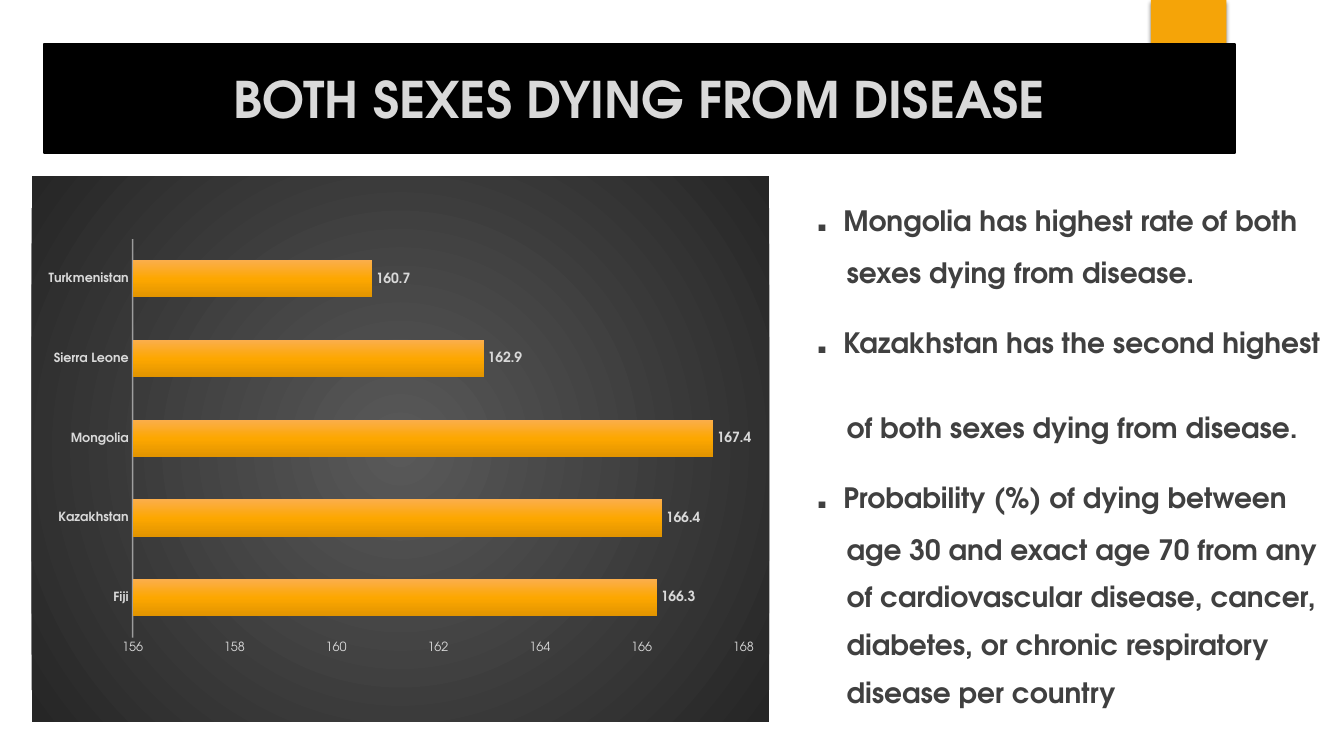
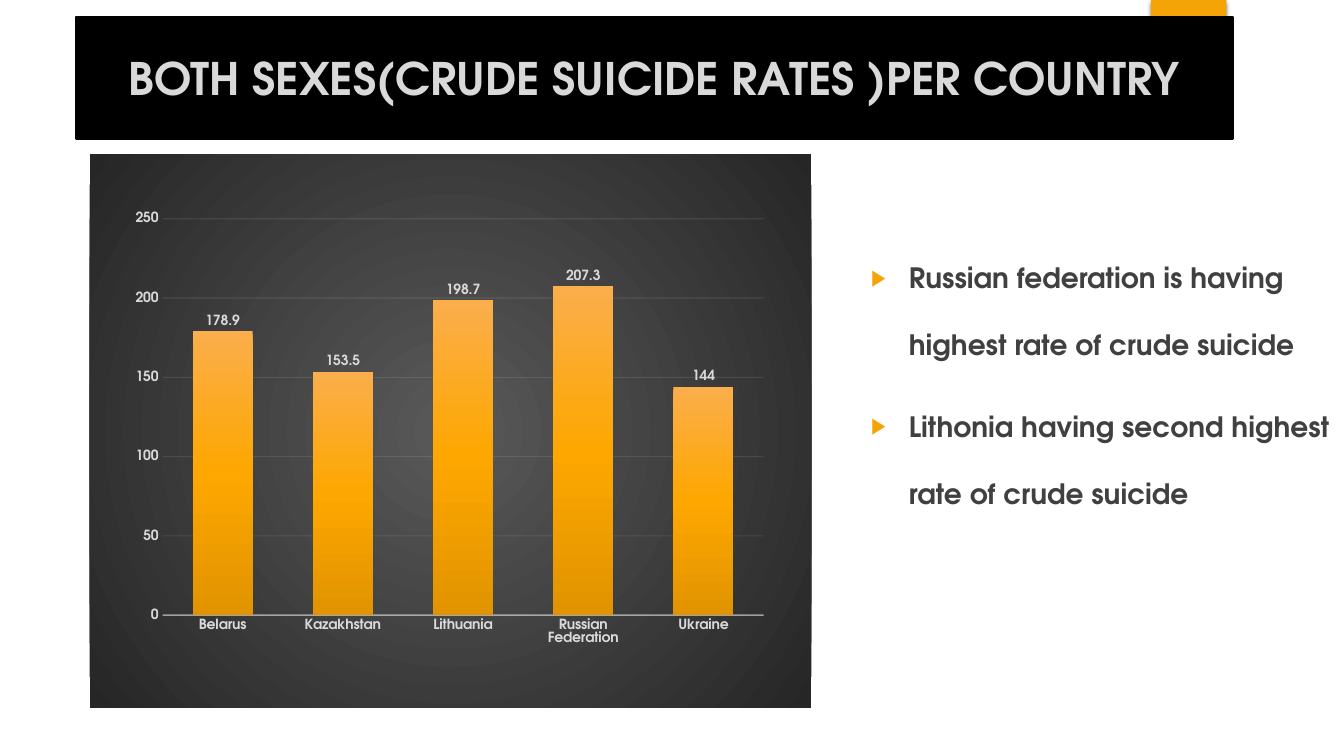
from pptx import Presentation
from pptx.chart.data import CategoryChartData
from pptx.dml.color import RGBColor
from pptx.enum.chart import XL_CHART_TYPE, XL_LABEL_POSITION, XL_TICK_MARK
from pptx.enum.shapes import MSO_SHAPE
from pptx.enum.text import MSO_ANCHOR, MSO_AUTO_SIZE, PP_ALIGN
from pptx.oxml import parse_xml
from pptx.oxml.ns import nsdecls, qn
from pptx.util import Pt

FACE = "TeX Gyre Adventor"
BLACK, GOLD, PALE, DARK, WHITE = "000000", "F5A408", "D9D9D9", "404040", "F2F2F2"
BAR = [(0, "FBAE4B"), (50, "FDA700"), (100, "E19400")]
PANEL = [(0, "595959"), (100, "262626")]
DOWN = '<a:lin ang="5400000" scaled="0"/>'
ROUND = '<a:path path="circle"><a:fillToRect l="50000" t="50000" r="50000" b="50000"/></a:path>'


def rgb(code):
    """Turn a hex string into a colour."""
    return RGBColor.from_string(code)


def xml(tag, body="", **attrs):
    """Build one XML element from its tag, attributes and content."""
    pairs = "".join(f' {key}="{val}"' for key, val in attrs.items())
    return parse_xml(f'<{tag} {nsdecls("a", "c")}{pairs}>{body}</{tag}>')


def blend(stops, shade):
    """Build a gradient fill."""
    marks = "".join(f'<a:gs pos="{pos * 1000}"><a:srgbClr val="{code}"/></a:gs>'
                    for pos, code in stops)
    return xml("a:gradFill", f"<a:gsLst>{marks}</a:gsLst>{shade}", rotWithShape=1)


def style(font, size, code, bold=True):
    """Set face, size, colour and weight."""
    font.name, font.size, font.bold = FACE, Pt(size), bold
    font.color.rgb = rgb(code)


def place(shape, box):
    """Move and size a shape."""
    shape.left, shape.top, shape.width, shape.height = (Pt(n) for n in box)


def write(par, text, size, code):
    """Add one run to a paragraph."""
    run = par.add_run()
    run.text = text
    style(run.font, size, code)


def setup(shape, anchor):
    """Make a placeholder wrap at its fixed size."""
    frame = shape.text_frame
    frame.word_wrap = True
    frame.auto_size = MSO_AUTO_SIZE.NONE
    frame.vertical_anchor = anchor
    return frame


def tab(slide, layout):
    """Put the gold tab on the shared layout."""
    shape = slide.shapes.add_shape(MSO_SHAPE.RECTANGLE, Pt(822), Pt(0), Pt(54), Pt(90))
    shape.fill.solid()
    shape.fill.fore_color.rgb = rgb(GOLD)
    shape.line.fill.background()
    shade = ('<a:outerShdw blurRad="38100" dist="25400" dir="5400000" rotWithShape="0">'
             f'<a:srgbClr val="{BLACK}"><a:alpha val="45000"/></a:srgbClr></a:outerShdw>')
    shape._element.spPr.append(xml("a:effectLst", shade))
    layout.shapes._spTree.insert(2, shape._element)


def banner(slide, box, text, size):
    """Shape the title into a black rounded band."""
    title = slide.shapes.title
    place(title, box)
    title._element.spPr.append(xml("a:prstGeom", "<a:avLst/>", prst="roundRect"))
    title.fill.solid()
    title.fill.fore_color.rgb = rgb(BLACK)
    title.line.color.rgb = rgb(BLACK)
    title.line.width = Pt(1.5)
    par = setup(title, MSO_ANCHOR.MIDDLE).paragraphs[0]
    par.alignment = PP_ALIGN.CENTER
    write(par, text, size, PALE)


def stroke(line, width, alpha):
    """Draw a line in see-through white."""
    line.color.rgb = rgb(WHITE)
    line.width = Pt(width)
    hue = line._ln.find(".//" + qn("a:srgbClr"))
    hue.append(xml("a:alpha", val=alpha * 1000))


def graph(slide, kind, box, data, scale, area, gap, lap):
    """Add a one-series bar chart on a dark panel."""
    source = CategoryChartData()
    source.categories = list(data)
    source.add_series("Series 1", list(data.values()))
    chart = slide.shapes.add_chart(kind, *(Pt(n) for n in box), source).chart
    chart.has_title = chart.has_legend = False
    style(chart.font, 10, BLACK, False)
    panel = xml("c:spPr")
    panel.append(blend(PANEL, ROUND))
    panel.append(xml("a:ln", "<a:noFill/>"))
    chart._chartSpace.find(qn("c:txPr")).addprevious(panel)

    field = chart._chartSpace.chart.plotArea
    for old in field.findall(qn("c:layout")):
        field.remove(old)
    spots = "".join(f'<c:{key} val="{val}"/>' for key, val in zip("xywh", area))
    modes = '<c:layoutTarget val="inner"/><c:xMode val="edge"/><c:yMode val="edge"/>'
    field.insert(0, xml("c:layout", f"<c:manualLayout>{modes}{spots}</c:manualLayout>"))

    plot = chart.plots[0]
    plot.gap_width, plot.overlap, plot.vary_by_categories = gap, lap, False
    series = plot.series[0]
    series.invert_if_negative = False
    series._element.get_or_add_spPr().append(blend(BAR, DOWN))
    plot.has_data_labels = True
    labels = plot.data_labels
    labels.show_value = True
    labels.position = XL_LABEL_POSITION.OUTSIDE_END
    style(labels.font, 10, PALE)

    for axis in (chart.category_axis, chart.value_axis):
        axis.major_tick_mark = axis.minor_tick_mark = XL_TICK_MARK.NONE
        axis.has_major_gridlines = False
        style(axis.tick_labels.font, 10, PALE)
    stroke(chart.category_axis.format.line, 1, 54)
    chart.value_axis.format.line.fill.background()
    low, high, step = scale
    chart.value_axis.minimum_scale, chart.value_axis.maximum_scale = low, high
    chart.value_axis.major_unit = step
    return chart


def notes(slide, box):
    """Place the body and return a maker of its paragraphs."""
    body = slide.placeholders[1]
    place(body, box)
    frame = setup(body, MSO_ANCHOR.TOP)

    def line(left, hang, before=10, space=1.0):
        """Give the next paragraph with its indents and spacing."""
        first = frame.paragraphs[0]
        par = frame.add_paragraph() if first.runs else first
        par.line_spacing, par.space_before, par.space_after = space, Pt(before), Pt(0)
        par.alignment = PP_ALIGN.LEFT
        props = par._p.get_or_add_pPr()
        props.set("marL", str(Pt(left)))
        props.set("indent", str(Pt(hang)))
        return par
    return line


def dots(slide, box, points):
    """Write points led by a large dot, one paragraph a line."""
    line = notes(slide, box)
    for drop, first, *rest in points:
        par = line(0, 0)
        par._p.pPr.append(xml("a:buNone"))
        write(par, ". ", 36, DARK)
        write(par, first, 20, DARK)
        for num, text in enumerate(rest):
            par = line(22.5, 0, 10 if num else drop)
            par._p.pPr.append(xml("a:buNone"))
            write(par, text, 20, DARK)


def arrows(slide, box, points):
    """Write points with gold arrow bullets."""
    line = notes(slide, box)
    for text in points:
        par = line(27, -27, space=2.0)
        props = par._p.pPr
        props.append(xml("a:buClr", f'<a:srgbClr val="{GOLD}"/>'))
        props.append(xml("a:buSzPct", val=80000))
        props.append(xml("a:buChar", char="▶"))
        write(par, text, 20, DARK)


def main():
    """Build and save both slides."""
    deck = Presentation()
    deck.slide_width, deck.slide_height = Pt(960), Pt(540)
    layout = deck.slide_layouts[1]
    death, crude = (deck.slides.add_slide(layout) for _ in range(2))
    tab(death, layout)

    banner(death, (31.5, 31.5, 850.5, 78), "BOTH SEXES DYING FROM DISEASE", 36)
    chart = graph(death, XL_CHART_TYPE.BAR_CLUSTERED, (22.5, 126, 527, 389.5),
                  {"Fiji": 166.3, "Kazakhstan": 166.4, "Mongolia": 167.4,
                   "Sierra Leone": 162.9, "Turkmenistan": 160.7},
                  (156, 168, 2), (0.137, 0.115, 0.828, 0.731), 115, -20)
    style(chart.category_axis.tick_labels.font, 9, PALE)
    style(chart.value_axis.tick_labels.font, 9, PALE, False)
    dots(death, (575, 126, 385, 389.5), [
        (10, "Mongolia has highest rate of both", "sexes dying from disease."),
        (33, "Kazakhstan has the second highest", "of both sexes dying from disease."),
        (10, "Probability (%) of dying between", "age 30 and exact age 70 from any",
         "of cardiovascular disease, cancer,", "diabetes, or chronic respiratory",
         "disease per country")])

    banner(crude, (54.5, 12, 826, 87), "BOTH SEXES(CRUDE SUICIDE RATES )PER COUNTRY", 32)
    chart = graph(crude, XL_CHART_TYPE.COLUMN_CLUSTERED, (64, 110, 515.5, 395.5),
                  {"Belarus": 178.9, "Kazakhstan": 153.5, "Lithuania": 198.7,
                   "Russian Federation": 207.3, "Ukraine": 144},
                  (0, 250, 50), (0.101, 0.117, 0.833, 0.716), 100, -24)
    chart.value_axis.has_major_gridlines = True
    stroke(chart.value_axis.major_gridlines.format.line, 0.75, 10)
    arrows(crude, (615, 158.5, 345.5, 232.5), [
        "Russian federation is having highest rate of crude suicide",
        "Lithonia having second highest rate of crude suicide"])
    deck.save("out.pptx")


main()
